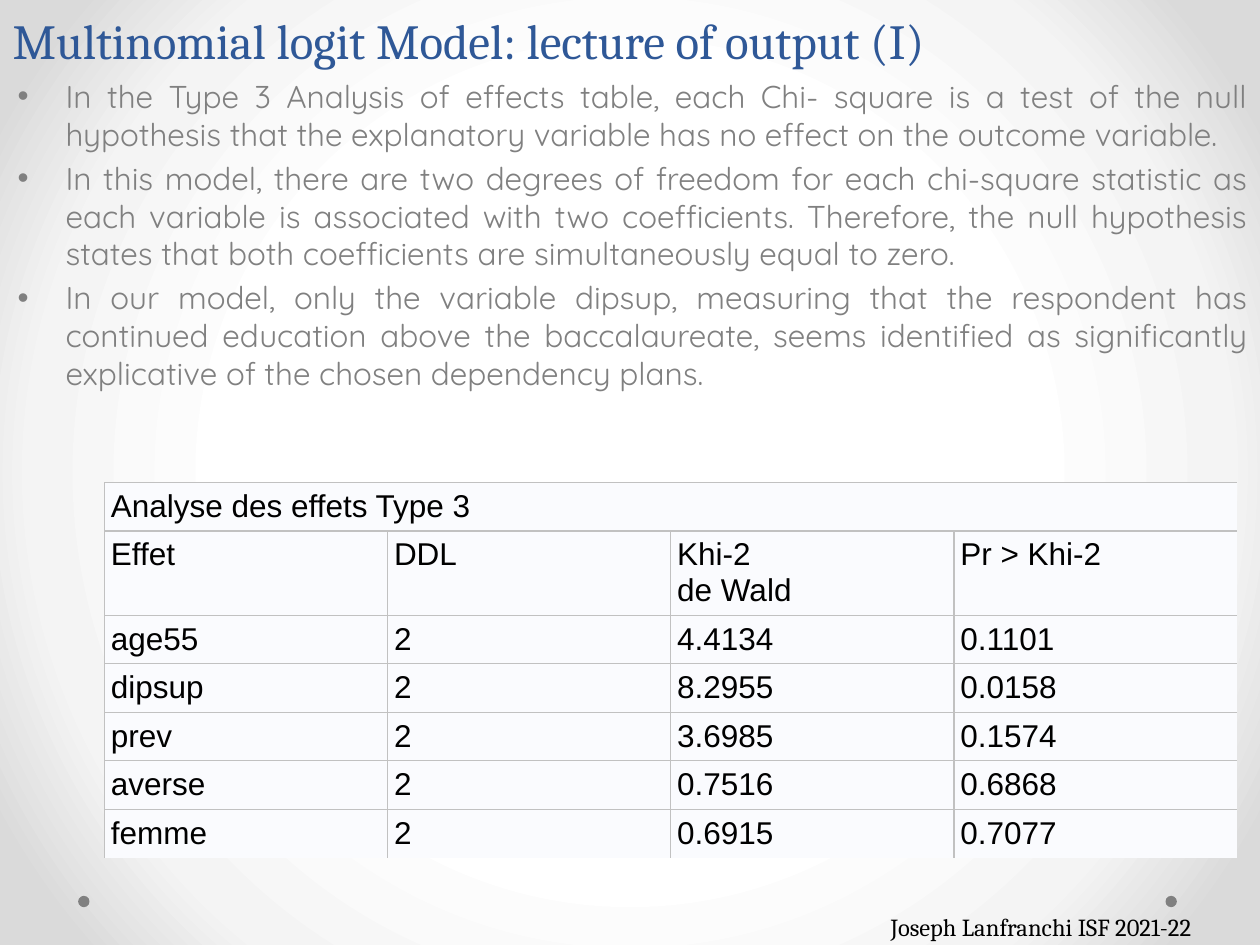
"""Build a slide on reading the output of a multinomial logit model."""
from itertools import product

from pptx import Presentation
from pptx.dml.color import RGBColor
from pptx.enum.shapes import MSO_SHAPE as Shape
from pptx.enum.text import MSO_ANCHOR as Anchor, MSO_AUTO_SIZE as AutoSize, PP_ALIGN as Align
from pptx.oxml import parse_xml
from pptx.oxml.ns import nsdecls
from pptx.util import Inches, Pt

BLUE = RGBColor(0x2F, 0x58, 0x97)
GRAY = RGBColor(0x80, 0x80, 0x80)
BLACK = RGBColor(0, 0, 0)
CELL_FILL = RGBColor(0xFA, 0xFB, 0xFE)
BORDER = RGBColor(0xC1, 0xC1, 0xC1)
GRADIENT = {50: RGBColor(0xFF, 0xFF, 0xFF), 76: RGBColor(0xF4, 0xF4, 0xF4), 92: RGBColor(0xDA, 0xDA, 0xDA)}

TITLE = "Multinomial logit Model: lecture of output (I)"
BULLETS = [
    "In the Type 3 Analysis of effects table, each Chi- square is a test of the null hypothesis "
    "that the explanatory variable has no effect on the outcome variable. ",
    "In this model, there are two degrees of freedom for each chi-square statistic as each variable "
    "is associated with two coefficients. Therefore, the null hypothesis states that both "
    "coefficients are simultaneously equal to zero.",
    "In our model, only the variable dipsup, measuring that the respondent has continued education "
    "above the baccalaureate, seems identified as significantly explicative of the chosen "
    "dependency plans. ",
]
EFFECTS = [
    ["Analyse des effets Type 3", "", "", ""],
    ["Effet", "DDL", "Khi-2\vde Wald", "Pr > Khi-2"],
    ["age55", "2", "4.4134", "0.1101"],
    ["dipsup", "2", "8.2955", "0.0158"],
    ["prev", "2", "3.6985", "0.1574"],
    ["averse", "2", "0.7516", "0.6868"],
    ["femme", "2", "0.6915", "0.7077"],
]
FOOTER = "Joseph Lanfranchi ISF 2021-22"


def apply(target, values):
    """Set each named attribute of the target."""
    for name, value in values.items():
        setattr(target, name, value)


def place(shape, left, top, width, height):
    """Move and size a shape, in inches."""
    box = {"left": left, "top": top, "width": width, "height": height}
    apply(shape, {name: Inches(value) for name, value in box.items()})


def write(frame, texts, name, size, color, **paragraph_format):
    """Fill a text frame with one formatted paragraph per text."""
    for index, text in enumerate(texts):
        paragraph = frame.add_paragraph() if index else frame.paragraphs[0]
        paragraph.text = text
        apply(paragraph, paragraph_format)
        for run in paragraph.runs:
            apply(run.font, {"name": name, "size": Pt(size)})
            run.font.color.rgb = color


def set_background(slide):
    """Give the slide a circular gradient that darkens outwards."""
    stops = "".join(
        f'<a:gs pos="{position * 1000}"><a:srgbClr val="{color}"/></a:gs>'
        for position, color in GRADIENT.items()
    )
    slide.element.cSld.insert(0, parse_xml(
        f'<p:bg {nsdecls("p", "a")}><p:bgPr><a:gradFill rotWithShape="1"><a:gsLst>{stops}</a:gsLst>'
        '<a:path path="circle"><a:fillToRect l="50000" t="50000" r="50000" b="50000"/></a:path>'
        '</a:gradFill><a:effectLst/></p:bgPr></p:bg>'
    ))


def add_dot(slide, left):
    """Add a small decorative dot above the footer."""
    dot = slide.shapes.add_shape(Shape.OVAL, Inches(left), Inches(7.11), Inches(0.09), Inches(0.09))
    dot.shadow.inherit = False
    dot.fill.solid()
    dot.fill.fore_color.rgb = GRAY
    dot.line.fill.background()


def add_title(slide):
    """Fill and place the title placeholder."""
    title = slide.shapes.title
    place(title, 0, 0.05, 9, 0.55)
    apply(title.text_frame, {"vertical_anchor": Anchor.BOTTOM, "auto_size": AutoSize.NONE})
    write(title.text_frame, [TITLE], "Cambria", 28, BLUE, alignment=Align.LEFT, line_spacing=Pt(58))


def add_bullets(slide):
    """Fill and place the body placeholder."""
    body = slide.placeholders[1]
    place(body, 0.04, 0.56, 9.96, 9.84)
    body.text_frame.auto_size = AutoSize.NONE
    write(body.text_frame, BULLETS, "Quicksand", 18, GRAY, alignment=Align.JUSTIFY, space_before=Pt(3.6))
    for paragraph in body.text_frame.paragraphs:
        properties = paragraph._p.get_or_add_pPr()
        properties.set("marL", str(Inches(0.38)))
        properties.set("indent", str(Inches(-0.38)))


def set_borders(cell, visible):
    """Draw the sides of a cell that are visible and clear the others."""
    properties = cell._tc.get_or_add_tcPr()
    for side in "LRTB":
        paint = f'<a:solidFill><a:srgbClr val="{BORDER}"/></a:solidFill>' if side in visible else "<a:noFill/>"
        properties.append(parse_xml(f'<a:ln{side} {nsdecls("a")} w="{Pt(0.75)}">{paint}</a:ln{side}>'))


def add_effects_table(slide):
    """Add the table of effects, open at its right and bottom edges."""
    rows, columns = len(EFFECTS), len(EFFECTS[0])
    frame = slide.shapes.add_table(rows, columns, Inches(0.83), Inches(3.83), Inches(8.99), Inches(2.98))
    table = frame.table
    apply(table, {"first_row": False, "horz_banding": False})
    for index, row in enumerate(table.rows):
        row.height = Inches(0.67 if index == 1 else 0.385)
    margins = {f"margin_{side}": Inches(0.05) for side in ("left", "right", "top", "bottom")}
    for row, column in product(range(rows), range(columns)):
        cell = table.cell(row, column)
        apply(cell, margins)
        right = "R" if 0 < row and column < columns - 1 else ""
        bottom = "B" if row < rows - 1 else ""
        set_borders(cell, "LT" + right + bottom)
        cell.fill.solid()
        cell.fill.fore_color.rgb = CELL_FILL
        write(cell.text_frame, [EFFECTS[row][column]], "Arial", 18, BLACK)
    table.cell(0, 0).merge(table.cell(0, columns - 1))


def add_footer(slide):
    """Add the author and course line."""
    footer = slide.shapes.add_textbox(Inches(6.97), Inches(7.19), Inches(3.07), Inches(0.34))
    footer.text_frame.word_wrap = True
    write(footer.text_frame, [FOOTER], "Cambria", 14, BLACK)


def main():
    """Build and save the presentation."""
    presentation = Presentation()
    apply(presentation, {"slide_width": Inches(10), "slide_height": Inches(7.5)})
    slide = presentation.slides.add_slide(presentation.slide_layouts[1])
    set_background(slide)
    for left in (9.25, 0.62):
        add_dot(slide, left)
    add_title(slide)
    add_bullets(slide)
    add_effects_table(slide)
    add_footer(slide)
    presentation.save("out.pptx")


if __name__ == "__main__":
    main()
